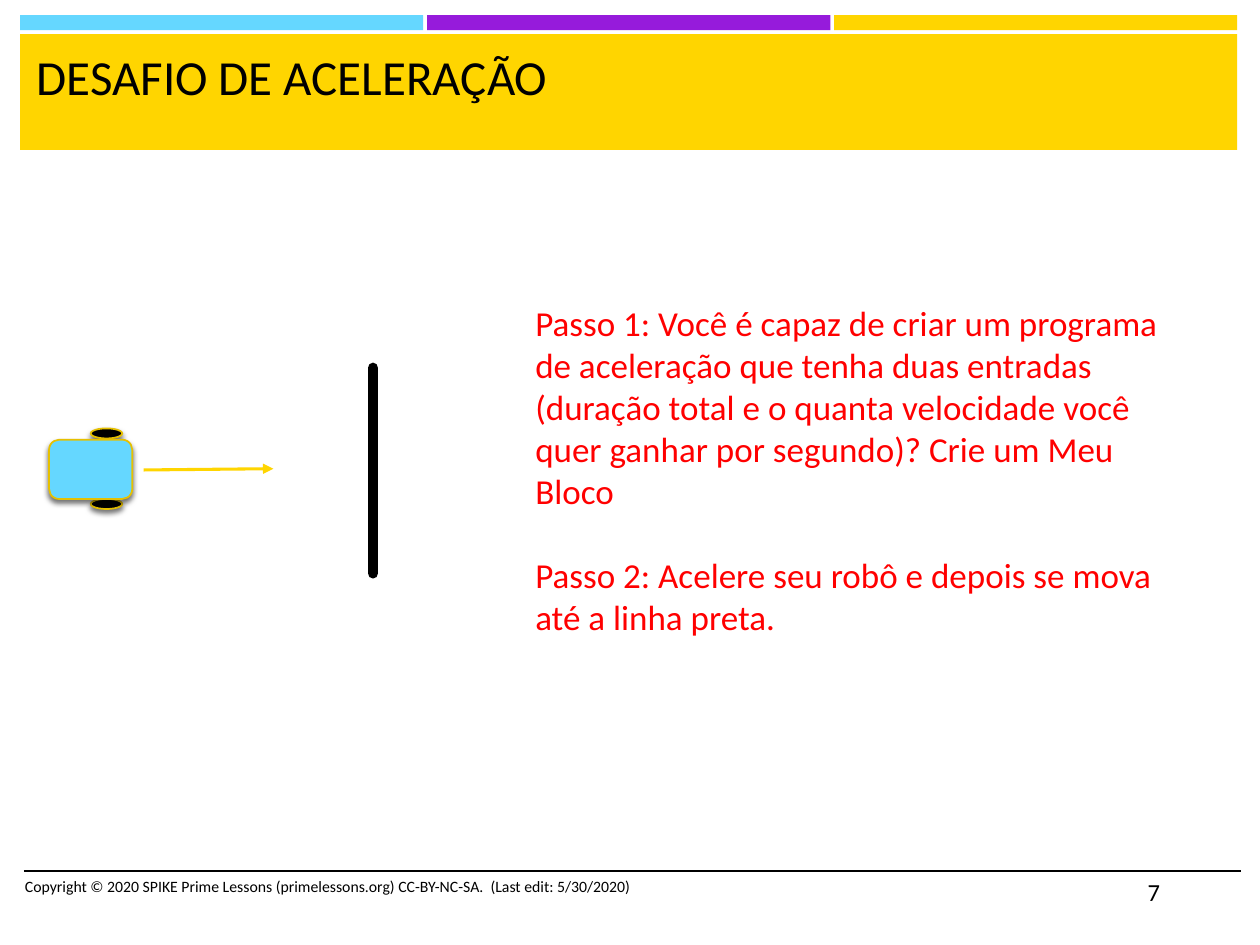
import pptx
import pptx.util
import pptx.dml.color
import pptx.enum.shapes
import pptx.enum.text
import pptx.oxml
import pptx.oxml.ns
from pptx.util import Inches

# Content
TITLE = "DESAFIO DE ACELERAÇÃO"
STEPS = [
    "Passo 1: Você é capaz de criar um programa de aceleração que tenha duas "
    "entradas (duração total e o quanta velocidade você quer ganhar por "
    "segundo)? Crie um Meu Bloco",
    "Passo 2: Acelere seu robô e depois se mova até a linha preta.",
]
COPYRIGHT = ("Copyright © 2020 SPIKE Prime Lessons (primelessons.org) "
             "CC-BY-NC-SA.  (Last edit: 5/30/2020)")
PAGE = "7"

THEME = {
    "font": "Calibri",
    "blue": "65D7FF", "purple": "961BDB", "yellow": "FFD500",
    "outline": "E6C000", "black": "000000", "red": "FF0000",
    "title": 28, "body": 20, "footer": 9, "page": 14,
}
KIND = pptx.enum.shapes.MSO_SHAPE
A_NS = pptx.oxml.ns.nsdecls("a")


def rgb(name):
    return pptx.dml.color.RGBColor.from_string(THEME[name])


def add_block(s, kind, box, fill, outline=None):
    sp = s.shapes.add_shape(kind, *map(Inches, box))
    sp.shadow.inherit = False
    sp.fill.solid()
    sp.fill.fore_color.rgb = rgb(fill)
    if outline:
        sp.line.color.rgb = rgb(outline)
        sp.line.width = pptx.util.Pt(1)
    else:
        sp.line.fill.background()
    return sp


def add_shadow(sp):
    effects = sp.element.spPr.find(pptx.oxml.ns.qn("a:effectLst"))
    effects.append(pptx.oxml.parse_xml(
        f'<a:outerShdw {A_NS} blurRad="38100" dist="25400" dir="5400000" '
        'rotWithShape="0"><a:srgbClr val="000000"><a:alpha val="55000"/>'
        '</a:srgbClr></a:outerShdw>'))


def add_line(s, start, end, color, width, ending=None):
    line = s.shapes.add_connector(
        pptx.enum.shapes.MSO_CONNECTOR.STRAIGHT, *map(Inches, start + end))
    line.line.color.rgb = rgb(color)
    line.line.width = pptx.util.Pt(width)
    ln = line.line._get_or_add_ln()
    if ending == "arrow":
        ln.append(pptx.oxml.parse_xml(f'<a:tailEnd {A_NS} type="triangle"/>'))
    elif ending == "round":
        ln.set("cap", "rnd")
    line.element.spPr.append(pptx.oxml.parse_xml(f"<a:effectLst {A_NS}/>"))


def fill_text(sp, paragraphs, size, color, gap=0):
    tf = sp.text_frame
    tf.word_wrap = True
    tf.vertical_anchor = pptx.enum.text.MSO_ANCHOR.TOP
    for i, text in enumerate(paragraphs):
        p = tf.paragraphs[0] if i == 0 else tf.add_paragraph()
        p.text = text
        p.alignment = pptx.enum.text.PP_ALIGN.LEFT
        p.space_before = pptx.util.Pt(gap if i else 0)
        p.font.name = THEME["font"]
        p.font.size = pptx.util.Pt(THEME[size])
        p.font.color.rgb = rgb(color)


def add_text(s, box, paragraphs, size, color, gap=0):
    sp = s.shapes.add_textbox(*map(Inches, box))
    fill_text(sp, paragraphs, size, color, gap)


def main():
    prs = pptx.Presentation()
    prs.slide_width, prs.slide_height = Inches(10), Inches(7.5)
    s = prs.slides.add_slide(prs.slide_layouts[5])

    # Header stripes and title band
    for i, color in enumerate(("blue", "purple", "yellow")):
        add_block(s, KIND.RECTANGLE, (0.16 + i * 3.23, 0.12, 3.2, 0.12), color)
    add_block(s, KIND.RECTANGLE, (0.16, 0.27, 9.66, 0.92), "yellow")

    # Title, brought in front of its band
    title = s.shapes.title
    title.left, title.top, title.width, title.height = map(
        Inches, (0.19, 0.32, 9.57, 0.82))
    fill_text(title, [TITLE], "title", "black")
    title.element.getparent().append(title.element)

    # Steps
    add_text(s, (4.15, 2.34, 5.16, 2.79), STEPS, "body", "red", gap=24)

    # Black finish line
    add_line(s, (2.96, 4.55), (2.96, 2.92), "black", 6, "round")

    # Robot: two wheels, body and direction of travel
    for top in (3.96, 3.4):
        add_shadow(add_block(s, KIND.OVAL, (0.72, top, 0.25, 0.08),
                             "black", "outline"))
    add_shadow(add_block(s, KIND.ROUNDED_RECTANGLE, (0.39, 3.49, 0.66, 0.47),
                         "blue", "outline"))
    add_line(s, (1.14, 3.73), (2.17, 3.72), "yellow", 1.75, "arrow")

    # Footer
    add_line(s, (0.19, 6.91), (9.85, 6.91), "black", 1)
    add_text(s, (0.1, 6.91, 5.33, 0.4), [COPYRIGHT], "footer", "black")
    add_text(s, (9.01, 6.91, 0.84, 0.4), [PAGE], "page", "black")

    prs.save("out.pptx")


if __name__ == "__main__":
    main()
